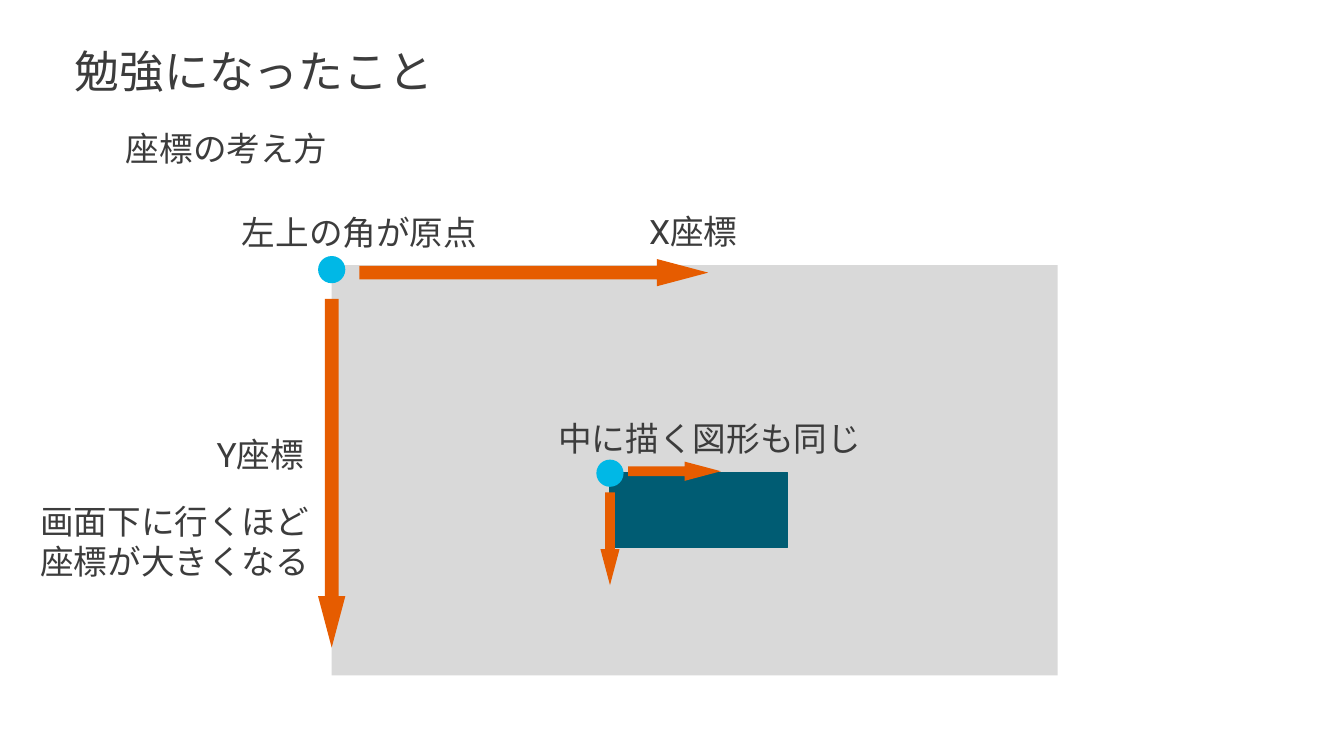
import lxml.etree
import pptx
import pptx.dml.color
import pptx.enum.shapes
import pptx.enum.text
import pptx.oxml.ns
import pptx.util

SHAPE = pptx.enum.shapes.MSO_SHAPE


def rgb(value):
    return pptx.dml.color.RGBColor.from_string(value)


class Board:
    """Draws styled elements on one slide, measured in cells of a 0.1 inch grid."""

    font = "Roboto"
    ink = "3C3C3C"
    accent = "E65C00"
    dot = "00B8E6"
    cell = 0.1

    def __init__(self, prs):
        self.s = prs.slides.add_slide(prs.slide_layouts[5])

    def box(self, *cells):
        return [pptx.util.Inches(n * self.cell) for n in cells]

    def set_text(self, sp, text, size):
        tf = sp.text_frame
        tf.text = text
        tf.word_wrap = True
        tf.auto_size = pptx.enum.text.MSO_AUTO_SIZE.SHAPE_TO_FIT_TEXT
        tf.vertical_anchor = pptx.enum.text.MSO_ANCHOR.TOP
        for p in tf.paragraphs:
            p.alignment = pptx.enum.text.PP_ALIGN.LEFT
            for r in p.runs:
                r.font.size = pptx.util.Pt(size)
                r.font.name = self.font
                r.font.color.rgb = rgb(self.ink)
                ea = lxml.etree.SubElement(r._r.get_or_add_rPr(), pptx.oxml.ns.qn("a:ea"))
                ea.set("typeface", self.font)

    def title(self, text, x, y, w, h):
        sp = self.s.shapes.title
        sp.left, sp.top, sp.width, sp.height = self.box(x, y, w, h)
        self.set_text(sp, text, 32)

    def label(self, text, x, y, w, h=5):
        self.set_text(self.s.shapes.add_textbox(*self.box(x, y, w, h)), text, 24)

    def shape(self, kind, color, x, y, w, h, line=None):
        sp = self.s.shapes.add_shape(kind, *self.box(x, y, w, h))
        sp.shadow.inherit = False
        sp.fill.solid()
        sp.fill.fore_color.rgb = rgb(color)
        if line:
            sp.line.color.rgb = rgb(line)
            sp.line.width = pptx.util.Pt(1)
        else:
            sp.line.fill.background()
        return sp

    def arrow(self, cx, cy, length, thick, turn=0):
        sp = self.shape(SHAPE.RIGHT_ARROW, self.accent,
                        cx - length / 2, cy - thick / 2, length, thick)
        sp.adjustments[0], sp.adjustments[1] = 0.5, 1.885
        sp.rotation = turn

    def axes(self, x, y, length, thick, gap, drop):
        """Mark an origin at x, y with one arrow to the right and one down."""
        size = 2.7
        self.shape(SHAPE.OVAL, self.dot, x - size / 2, y - size / 2, size, size)
        self.arrow(x + gap + length / 2, y + drop, length, thick)
        self.arrow(x, y + gap + length / 2 + abs(drop) / 2, length, thick, 90)


def main():
    prs = pptx.Presentation()
    prs.slide_width = pptx.util.Inches(13.33)
    prs.slide_height = pptx.util.Inches(7.5)
    board = Board(prs)

    board.title("勉強になったこと", 6.4, 3.8, 41.4, 6.4)
    board.shape(SHAPE.RECTANGLE, "D9D9D9", 32.9, 26.3, 72, 40.7)
    board.shape(SHAPE.RECTANGLE, "005C73", 60.5, 46.9, 17.6, 7.4, line="005C73")
    board.axes(32.9, 26.75, 34.6, 2.7, gap=2.75, drop=0.3)
    board.axes(60.5, 46.95, 9.2, 1.9, gap=1.8, drop=-0.2)

    for text, x, y, w in (
        ("座標の考え方", 11.5, 12.2, 29.9),
        ("左上の角が原点", 23, 20.5, 29.9),
        ("X座標", 63.4, 20.4, 13.7),
        ("Y座標", 20.5, 42.6, 13.7),
        ("中に描く図形も同じ", 54.4, 41, 34.6),
    ):
        board.label(text, x, y, w)
    board.label("画面下に行くほど\n座標が大きくなる", 3, 49.2, 29.9, 9.1)

    prs.save("out.pptx")


if __name__ == "__main__":
    main()
